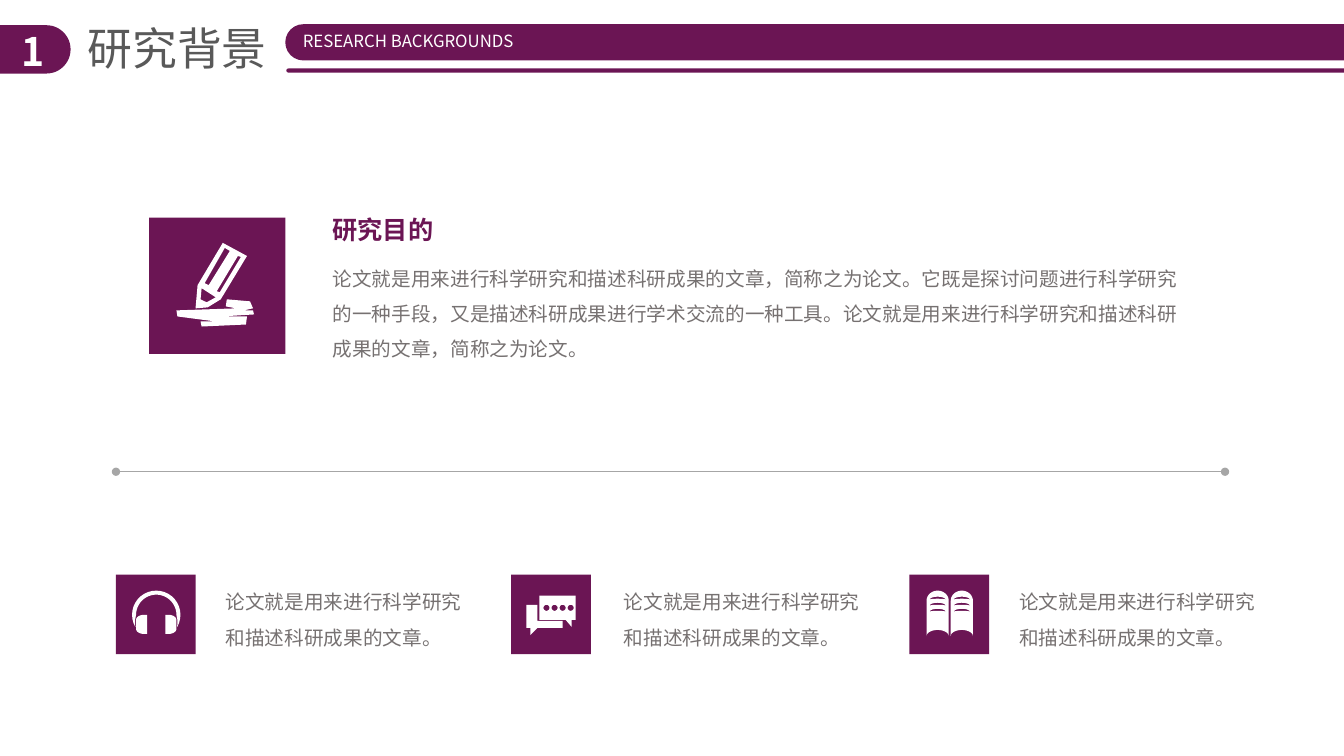
from dataclasses import dataclass
from math import cos, radians, sin

from lxml import etree
from pptx import Presentation
from pptx import util as u
from pptx.dml.color import RGBColor
from pptx.enum import shapes, text
from pptx.oxml.ns import qn

EMU_PER_PX = 9144


@dataclass(frozen=True)
class Theme:
    font: str = "Noto Sans CJK SC"
    plum: str = "6B1554"
    white: str = "FFFFFF"
    title: str = "595959"
    body: str = "767171"
    rule: str = "A6A6A6"
    number_size: int = 28
    title_size: int = 32
    heading_size: int = 18
    body_size: int = 14
    label_size: int = 12
    body_spacing: float = 1.5
    rule_width: float = 0.5


def px(length):
    return u.Emu(round(length * EMU_PER_PX))


def arc(center_x, center_y, radius_x, radius_y, start, end, steps=24):
    angles = [radians(start + (end - start) * i / steps) for i in range(steps + 1)]
    return [(center_x + radius_x * cos(a), center_y + radius_y * sin(a)) for a in angles]


class SlideBuilder:
    def __init__(self, slide, theme):
        self.slide = slide
        self.theme = theme

    def paint(self, shape, color):
        shape.shadow.inherit = False
        shape.fill.solid()
        shape.fill.fore_color.rgb = RGBColor.from_string(color)
        shape.line.fill.background()

    def block(self, left, top, width, height, kind=shapes.MSO_SHAPE.RECTANGLE):
        shape = self.slide.shapes.add_shape(kind, px(left), px(top), px(width), px(height))
        self.paint(shape, self.theme.plum)
        return shape

    def pill(self, left, top, width, height):
        shape = self.block(left, top, width, height, shapes.MSO_SHAPE.ROUNDED_RECTANGLE)
        shape.adjustments[0] = 0.5

    def label(self, box, words, size, color, bold=False, centered=False, wrap=False, spacing=None):
        frame = self.slide.shapes.add_textbox(*map(px, box)).text_frame
        frame.text = words
        frame.word_wrap = wrap
        frame.auto_size = text.MSO_AUTO_SIZE.SHAPE_TO_FIT_TEXT
        paragraph = frame.paragraphs[0]
        paragraph.alignment = text.PP_ALIGN.CENTER if centered else text.PP_ALIGN.LEFT
        if spacing:
            paragraph.line_spacing = spacing
        font = paragraph.runs[0].font
        font.size = u.Pt(size)
        font.bold = bold
        font.color.rgb = RGBColor.from_string(color)
        font.name = self.theme.font
        properties = paragraph.runs[0]._r.get_or_add_rPr()
        etree.SubElement(properties, qn("a:ea")).set("typeface", self.theme.font)

    def body(self, box, words):
        theme = self.theme
        self.label(box, words, theme.body_size, theme.body, wrap=True, spacing=theme.body_spacing)

    def dotted_rule(self, left, right, y):
        line = self.slide.shapes.add_connector(
            shapes.MSO_CONNECTOR.STRAIGHT, px(left), px(y), px(right), px(y))
        line.line.color.rgb = RGBColor.from_string(self.theme.rule)
        line.line.width = u.Pt(self.theme.rule_width)
        outline = line.line._get_or_add_ln()
        for end in ("a:headEnd", "a:tailEnd"):
            etree.SubElement(outline, qn(end)).set("type", "oval")
        etree.SubElement(line._element.spPr, qn("a:effectLst"))

    def icon(self, left, top, side, contours):
        self.block(left, top, side, side)
        placed = [[(px(left + x), px(top + y)) for x, y in contour] for contour in contours]
        builder = self.slide.shapes.build_freeform(*placed[0][0])
        for index, contour in enumerate(placed):
            if index:
                builder.move_to(*contour[0])
            builder.add_line_segments(contour[1:], close=True)
        self.paint(builder.convert_to_shape(), self.theme.white)


def pencil():
    return [
        [(73, 25), (97, 38), (71, 81), (58, 89), (46, 90), (48, 67)],
        [(96, 106), (97, 98), (72, 98), (104, 96), (103, 92), (94, 92), (103, 90), (100, 83),
         (77, 81), (76, 88), (86, 90), (27, 92), (28, 98), (66, 103), (51, 103), (52, 108)],
        [(57, 84), (66, 79), (52, 70), (51, 81)],
        [(88, 38), (67, 73), (70, 74), (91, 39)],
        [(75, 30), (55, 65), (59, 67), (80, 33)],
    ]


def headphones():
    band = (arc(40, 40, 24, 24, 150, 390) + [(61, 45)]
            + arc(40, 40, 20, 20, 360, 180) + [(19, 45)])
    left_cup = ([(31, 40), (31, 59)] + arc(28, 54, 8, 5, 90, 180)
                + arc(28, 45, 8, 5, 180, 270))
    right_cup = [(80 - x, y) for x, y in left_cup]
    return [band, left_cup, right_cup]


def speech_bubbles():
    back = [(19, 60), (26, 53), (51, 53), (51, 46), (26, 46), (26, 30),
            (15, 30), (15, 53), (19, 53)]
    front = [(54, 45), (60, 52), (60, 45), (64, 45), (64, 21), (28, 21), (28, 45)]
    dots = [arc(35 + 8 * i, 33, 3, 3, 0, 360) for i in range(4)]
    return [back, front, *dots]


def open_book():
    contours = []
    for center in (28, 52):
        contours.append(arc(center, 26, 11, 10, 180, 360) + arc(center, 61, 11, 6, 360, 180))
        for y in (25, 31, 37):
            contours.append(arc(center, y, 8, 3, 180, 360) + arc(center, y, 8, 1, 360, 180))
    return contours


def main():
    presentation = Presentation()
    presentation.slide_width = px(1333)
    presentation.slide_height = px(750)
    theme = Theme()
    page = SlideBuilder(presentation.slides.add_slide(presentation.slide_layouts[6]), theme)

    page.pill(-28, 25, 98, 48)
    page.label((7, 22, 51, 57), "1", theme.number_size, theme.white,
               bold=True, centered=True, wrap=True)
    page.label((77, 16, 200, 64), "研究背景", theme.title_size, theme.title)
    page.pill(283, 24, 1103, 36)
    page.pill(284, 68, 1103, 4)
    page.label((285, 26, 240, 30), "RESEARCH BACKGROUNDS", theme.label_size, theme.white,
               centered=True)

    page.icon(148, 216, 135, pencil())
    page.label((320, 208, 121, 40), "研究目的", theme.heading_size, theme.plum, bold=True)
    page.body((320, 248, 865, 112),
              "论文就是用来进行科学研究和描述科研成果的文章，简称之为论文。"
              "它既是探讨问题进行科学研究的一种手段，又是描述科研成果进行学术交流的一种工具。"
              "论文就是用来进行科学研究和描述科研成果的文章，简称之为论文。")
    page.dotted_rule(115, 1215, 468)

    columns = [
        (115, headphones(), 214, 271),
        (507, speech_bubbles(), 609, 257),
        (902, open_book(), 1001, 262),
    ]
    for icon_left, contours, text_left, text_width in columns:
        page.icon(icon_left, 570, 79, contours)
        page.body((text_left, 569, text_width, 81),
                  "论文就是用来进行科学研究和描述科研成果的文章。")

    presentation.save("out.pptx")


if __name__ == "__main__":
    main()
